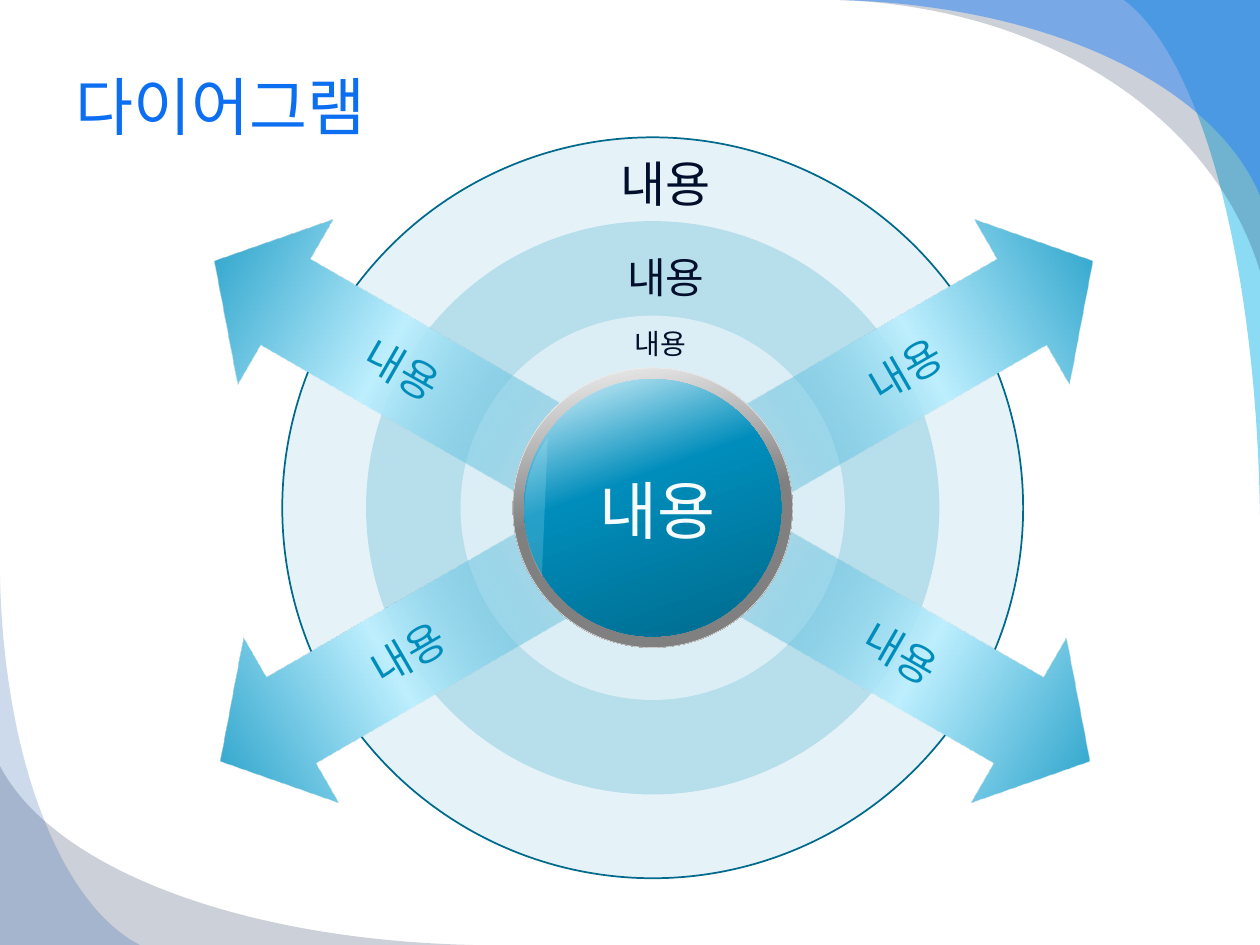
from lxml.etree import SubElement
from pptx import Presentation
from pptx.dml.color import RGBColor
from pptx.enum.shapes import MSO_SHAPE as Shape
from pptx.enum.text import MSO_ANCHOR as Anchor, MSO_AUTO_SIZE as AutoSize, PP_ALIGN as Align
from pptx.oxml.ns import qn
from pptx.util import Inches, Pt

FONT = "Roboto"
LABEL = "내용"
COLORS = {
    "title": "0C6FF2", "ink": "020F2C", "pale": "F7FDFF", "white": "FFFFFF",
    "teal": "008DBB", "deep": "006A8C", "ice": "BEEFFF", "gloss": "DFF7FF",
    "silver": "F2F2F2", "steel": "808080",
    "aqua": "00B1E9", "navy": "021741", "sky": "247FF4", "royal": "084AA1",
}
# corner, vector along the long edge, vector along the short edge, colour, opacity
SWOOSHES = [
    ((10, 0), (0, 4.08), (-1.08, 0), "aqua", 45),
    ((10, 0), (-3.33, 0), (0, 2.15), "navy", 20),
    ((10, 0), (-3.33, 0), (0, 1.55), "sky", 49),
    ((0, 7.5), (3.75, 0), (0, -1.42), "navy", 20),
    ((0, 7.5), (0, -2.92), (1.11, 0), "royal", 20),
]
CURVE = [(0, 0), (0.5, 0.03), (0.89, 0.44), (1, 1)]
RING_CENTER = (5.18, 4.03)
# diameter, colour, opacity
RINGS = [(5.88, "teal", 10), (4.55, "teal", 20), (3.05, "white", 50)]
# left, top, rotation, flip attribute
ARROWS = [
    (5.75, 4.51, 30, None),
    (5.78, 2.09, 330, None),
    (1.54, 4.51, 150, "flipV"),
    (1.5, 2.09, 30, "flipH"),
]
# left, top, width, height, size, colour
LABELS = [
    (4.66, 3.69, 1.2, 0.71, 36, "pale"),
    (4.94, 2.54, 0.66, 0.37, 16, "ink"),
    (4.88, 1.95, 0.87, 0.49, 24, "ink"),
    (4.83, 1.17, 0.99, 0.57, 28, "ink"),
]


def rgb(name):
    return RGBColor.from_string(COLORS[name])


def fill_solid(shape, color, opacity):
    shape.fill.solid()
    shape.fill.fore_color.rgb = rgb(color)
    clr = shape._element.spPr.find(qn("a:solidFill"))[0]
    SubElement(clr, qn("a:alpha"), val=str(opacity * 1000))


def fill_gradient(shape, stops, angle=0):
    """Fill with (percent, colour, opacity) stops; angle runs clockwise."""
    shape.fill.gradient()
    shape.fill.gradient_angle = -angle % 360
    stop_list = shape._element.spPr.find(qn("a:gradFill")).find(qn("a:gsLst"))
    for old in list(stop_list):
        stop_list.remove(old)
    for percent, color, opacity in stops:
        stop = SubElement(stop_list, qn("a:gs"), pos=str(percent * 1000))
        clr = SubElement(stop, qn("a:srgbClr"), val=COLORS[color])
        if opacity < 100:
            SubElement(clr, qn("a:alpha"), val=str(opacity * 1000))


def style_text(frame, text, size, color, align=Align.LEFT):
    frame.text = text
    paragraph = frame.paragraphs[0]
    paragraph.alignment = align
    font = paragraph.runs[0].font
    font.name, font.size, font.color.rgb = FONT, Pt(size), rgb(color)


def add_plain(slide, kind, left, top, width, height):
    shape = slide.shapes.add_shape(kind, Inches(left), Inches(top), Inches(width), Inches(height))
    shape.shadow.inherit = False
    shape.line.fill.background()
    return shape


def add_circle(slide, center, diameter):
    x, y = center
    return add_plain(slide, Shape.OVAL, x - diameter / 2, y - diameter / 2, diameter, diameter)


def outline(shape, color, width):
    shape.line.color.rgb = rgb(color)
    shape.line.width = Pt(width)


def curve_point(t):
    weights = ((1 - t) ** 3, 3 * t * (1 - t) ** 2, 3 * t * t * (1 - t), t ** 3)
    return [sum(w * p[axis] for w, p in zip(weights, CURVE)) for axis in (0, 1)]


def add_swoosh(slide, corner, along, across, color, opacity, steps=40):
    """Fill a corner up to a curve from the end of one edge to the end of the other."""
    points = [corner]
    for step in range(steps + 1):
        u, v = curve_point(step / steps)
        points.append([c + (1 - u) * a + v * b for c, a, b in zip(corner, along, across)])
    points = [(Inches(x), Inches(y)) for x, y in points]
    builder = slide.shapes.build_freeform(*points[0])
    builder.add_line_segments(points[1:], close=True)
    swoosh = builder.convert_to_shape()
    swoosh.shadow.inherit = False
    swoosh.line.fill.background()
    fill_solid(swoosh, color, opacity)


def add_arrow(slide, left, top, rotation, flip):
    arrow = add_plain(slide, Shape.RIGHT_ARROW, left, top, 3.1, 1.51)
    arrow.adjustments[0], arrow.adjustments[1] = 0.52, 0.43
    arrow.rotation = rotation
    if flip:
        arrow._element.spPr.find(qn("a:xfrm")).set(flip, "1")
    fill_gradient(arrow, [(0, "teal", 0), (50, "ice", 100), (100, "teal", 100)])
    frame = arrow.text_frame
    frame.word_wrap = False
    frame.vertical_anchor = Anchor.MIDDLE
    style_text(frame, LABEL, 24, "teal", Align.CENTER)


def add_button(slide):
    rim = add_circle(slide, RING_CENTER, 2.22)
    fill_gradient(rim, [(0, "silver", 100), (50, "steel", 100), (100, "steel", 100)], 80)
    outline(rim, "silver", 0.25)
    face = add_circle(slide, RING_CENTER, 2.04)
    fill_gradient(face, [(0, "gloss", 100), (40, "teal", 100), (100, "deep", 100)], 70)
    shine = add_plain(slide, Shape.CHORD, 4.16, 3.04, 2.04, 2.04)
    for index, degrees in enumerate((59.63, 125.32)):
        shine.adjustments[index] = degrees * 0.6  # stored in 60000ths of a degree
    shine.rotation = 90
    fill_solid(shine, "ice", 20)


def add_label(slide, left, top, width, height, size, color):
    box = slide.shapes.add_textbox(Inches(left), Inches(top), Inches(width), Inches(height))
    box.text_frame.word_wrap = False
    box.text_frame.auto_size = AutoSize.SHAPE_TO_FIT_TEXT
    style_text(box.text_frame, LABEL, size, color)


def set_title(slide, text):
    title = slide.shapes.title
    title.left, title.top = Inches(0.5), Inches(0.33)
    title.width, title.height = Inches(9), Inches(1.01)
    title.text_frame.vertical_anchor = Anchor.MIDDLE
    style_text(title.text_frame, text, 36, "title")


def main():
    deck = Presentation()
    deck.slide_width, deck.slide_height = Inches(10), Inches(7.5)
    slide = deck.slides.add_slide(deck.slide_layouts[5])
    set_title(slide, "다이어그램")
    for swoosh in SWOOSHES:
        add_swoosh(slide, *swoosh)
    for diameter, color, opacity in RINGS:
        ring = add_circle(slide, RING_CENTER, diameter)
        fill_solid(ring, color, opacity)
        if diameter == RINGS[0][0]:
            outline(ring, "deep", 1)
    for arrow in ARROWS:
        add_arrow(slide, *arrow)
    add_button(slide)
    for label in LABELS:
        add_label(slide, *label)
    deck.save("out.pptx")


if __name__ == "__main__":
    main()
